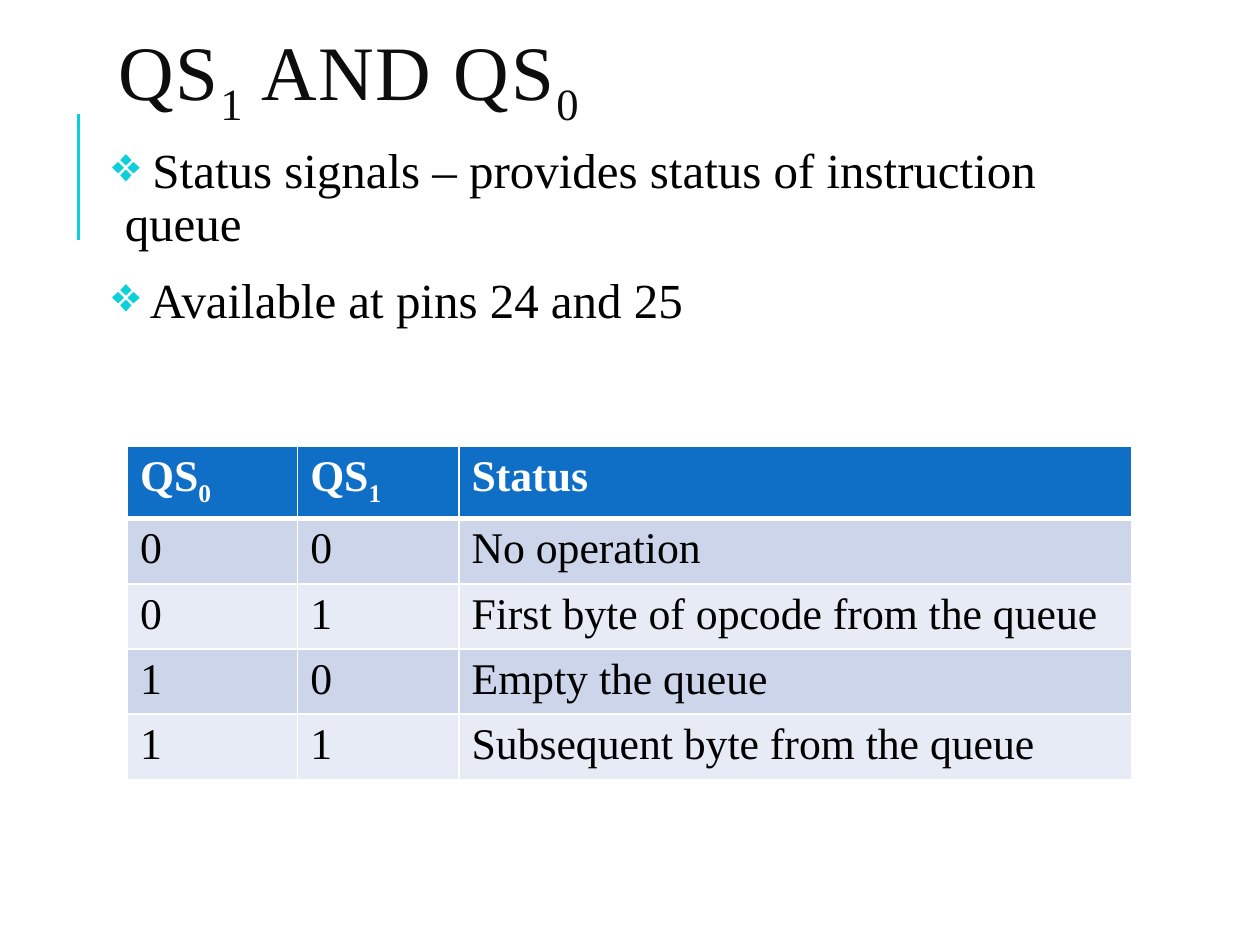
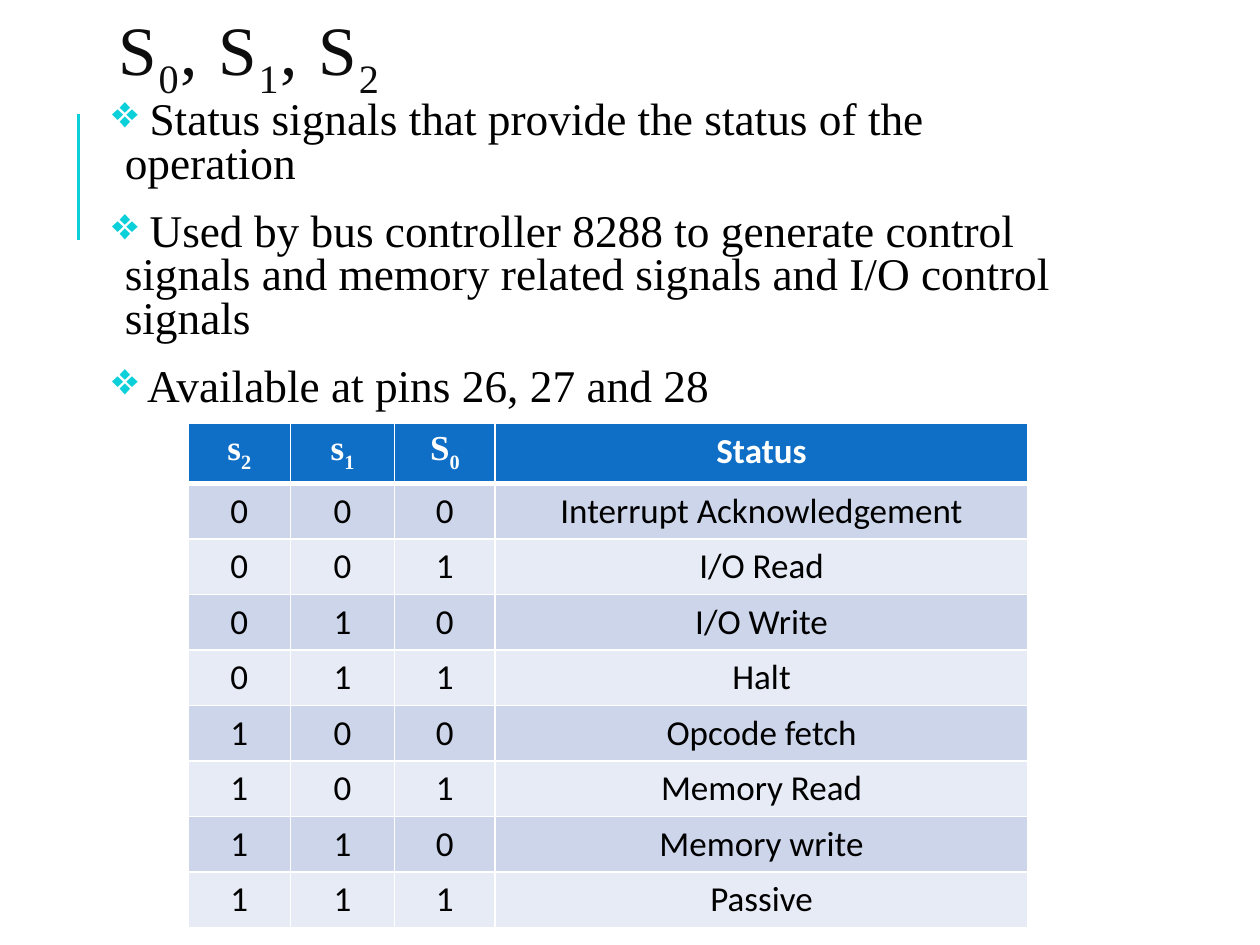
import dataclasses

import pptx
import pptx.dml.color
import pptx.enum.shapes
import pptx.enum.text
import pptx.oxml
import pptx.oxml.ns
import pptx.util

Pt = pptx.util.Pt


@dataclasses.dataclass(frozen=True)
class Theme:
    serif: str = "Times New Roman"
    sans: str = "Calibri"
    title: str = "0D0D0D"
    text: str = "000000"
    accent: str = "0BD0D9"
    header: str = "0F6FC6"
    header_text: str = "FFFFFF"
    border: str = "FFFFFF"
    bands: tuple = ("CCD5EA", "E7EBF5")
    title_sizes: tuple = (44, 39.6)
    point_sizes: tuple = (28, 25.9)
    table_sizes: tuple = (25, 20)


THEME = Theme()
LEFT, WIDTH = 60.5, 574

signals = [
    {
        "title": "QS~1~ AND QS~0~",
        "title_top": 17.3, "title_height": 51.8,
        "points": [
            " Status signals – provides status of instruction queue",
            " Available at pins 24 and 25",
        ],
        "points_top": 79.9, "points_height": 119.5, "spacing": 0.9,
        "table_at": (72.9, 255.1), "columns": (97.2, 92.2, 384.4),
        "header_height": 38.3, "row_height": 34.9,
        "cell_font": THEME.serif, "align": pptx.enum.text.PP_ALIGN.LEFT,
        "rows": [
            ("QS~0~", "QS~1~", "Status"),
            ("0", "0", "No operation"),
            ("0", "1", "First byte of opcode from the queue"),
            ("1", "0", "Empty the queue"),
            ("1", "1", "Subsequent byte from the queue"),
        ],
    },
    {
        "title": "S~0~, S~1~, S~2~",
        "title_top": 5.8, "title_height": 49,
        "points": [
            " Status signals that provide the status of the operation",
            " Used by bus controller 8288 to generate control signals"
            " and memory related signals and I/O control signals",
            " Available at pins 26, 27 and 28",
        ],
        "points_top": 54, "points_height": 187.9, "spacing": 0.8,
        "table_at": (107.5, 241.9), "columns": (58.5, 59.5, 57.5, 304.5),
        "header_height": 32.7, "row_height": 31.7,
        "cell_font": THEME.sans, "align": pptx.enum.text.PP_ALIGN.CENTER,
        "rows": [
            ("s~2~", "s~1~", "S~0~", "Status"),
            ("0", "0", "0", "Interrupt Acknowledgement"),
            ("0", "0", "1", "I/O Read"),
            ("0", "1", "0", "I/O Write"),
            ("0", "1", "1", "Halt"),
            ("1", "0", "0", "Opcode fetch"),
            ("1", "0", "1", "Memory Read"),
            ("1", "1", "0", "Memory write"),
            ("1", "1", "1", "Passive"),
        ],
    },
]


def add_runs(paragraph, text, font_name, size, color, bold=False, tracking=0):
    """Add text run by run; parts between tildes become subscripts."""
    for index, part in enumerate(text.split("~")):
        if not part:
            continue
        run = paragraph.add_run()
        run.text = part
        run.font.name = font_name
        run.font.size = Pt(size)
        run.font.bold = bold
        run.font.color.rgb = pptx.dml.color.RGBColor.from_string(color)
        properties = run._r.get_or_add_rPr()
        if tracking:
            properties.set("spc", str(tracking * 100))
        if index % 2:
            properties.set("baseline", "-25000")


def drawing_xml(tag, attributes="", content=""):
    namespace = pptx.oxml.ns.nsdecls("a")
    return pptx.oxml.parse_xml(f"<a:{tag} {namespace} {attributes}>{content}</a:{tag}>")


deck = pptx.Presentation()
deck.slide_width, deck.slide_height = Pt(720), Pt(540)

for number, signal in enumerate(signals):
    slide = deck.slides.add_slide(deck.slide_layouts[6])

    # Accent line
    accent = slide.shapes.add_connector(
        pptx.enum.shapes.MSO_CONNECTOR.STRAIGHT, Pt(45), Pt(137), Pt(45), Pt(65))
    accent.line.color.rgb = pptx.dml.color.RGBColor.from_string(THEME.accent)
    accent.line.width = Pt(1.5)
    accent._element.spPr.append(drawing_xml("effectLst"))

    # Title
    title = slide.shapes.add_textbox(
        Pt(LEFT), Pt(signal["title_top"]), Pt(WIDTH), Pt(signal["title_height"])).text_frame
    title.word_wrap = True
    title.vertical_anchor = pptx.enum.text.MSO_ANCHOR.MIDDLE
    title.paragraphs[0].line_spacing = 0.8
    add_runs(title.paragraphs[0], signal["title"], THEME.serif,
             THEME.title_sizes[number], THEME.title, tracking=1)

    # Bullet points
    points = slide.shapes.add_textbox(
        Pt(LEFT), Pt(signal["points_top"]), Pt(WIDTH), Pt(signal["points_height"])).text_frame
    points.word_wrap = True
    points.margin_left = points.margin_right = Pt(3.6)
    points.margin_top = points.margin_bottom = Pt(3.6)
    for index, point in enumerate(signal["points"]):
        paragraph = points.add_paragraph() if index else points.paragraphs[0]
        paragraph.line_spacing = signal["spacing"]
        paragraph.space_before = Pt(12 if index else 0)
        paragraph.space_after = Pt(2)
        layout = paragraph._p.get_or_add_pPr()
        layout.set("marL", str(Pt(7.2)))
        layout.set("indent", str(-Pt(7.2)))
        layout.append(drawing_xml("buClr", content=f'<a:srgbClr val="{THEME.accent}"/>'))
        layout.append(drawing_xml("buChar", 'char="❖"'))
        add_runs(paragraph, point, THEME.serif, THEME.point_sizes[number], THEME.text)

    # Status table
    rows, columns = signal["rows"], signal["columns"]
    table_left, table_top = signal["table_at"]
    table_height = signal["header_height"] + signal["row_height"] * (len(rows) - 1)
    status = slide.shapes.add_table(
        len(rows), len(columns), Pt(table_left), Pt(table_top),
        Pt(sum(columns)), Pt(table_height)).table
    status.first_row = status.horz_banding = False
    for column, width in zip(status.columns, columns):
        column.width = Pt(width)
    for r, values in enumerate(rows):
        is_header = r == 0
        status.rows[r].height = Pt(signal["header_height" if is_header else "row_height"])
        fill = THEME.header if is_header else THEME.bands[(r - 1) % 2]
        edges = {"lnL": 1, "lnR": 1, "lnT": 3 if r == 1 else 1, "lnB": 3 if is_header else 1}
        for c, value in enumerate(values):
            cell = status.cell(r, c)
            cell.fill.solid()
            cell.fill.fore_color.rgb = pptx.dml.color.RGBColor.from_string(fill)
            for position, (edge, width) in enumerate(edges.items()):
                cell._tc.get_or_add_tcPr().insert(position, drawing_xml(
                    edge, f'w="{Pt(width)}"',
                    f'<a:solidFill><a:srgbClr val="{THEME.border}"/></a:solidFill>'))
            paragraph = cell.text_frame.paragraphs[0]
            paragraph.alignment = signal["align"]
            add_runs(paragraph, value,
                     THEME.serif if "~" in value else signal["cell_font"],
                     THEME.table_sizes[number],
                     THEME.header_text if is_header else THEME.text, bold=is_header)

deck.save("out.pptx")
